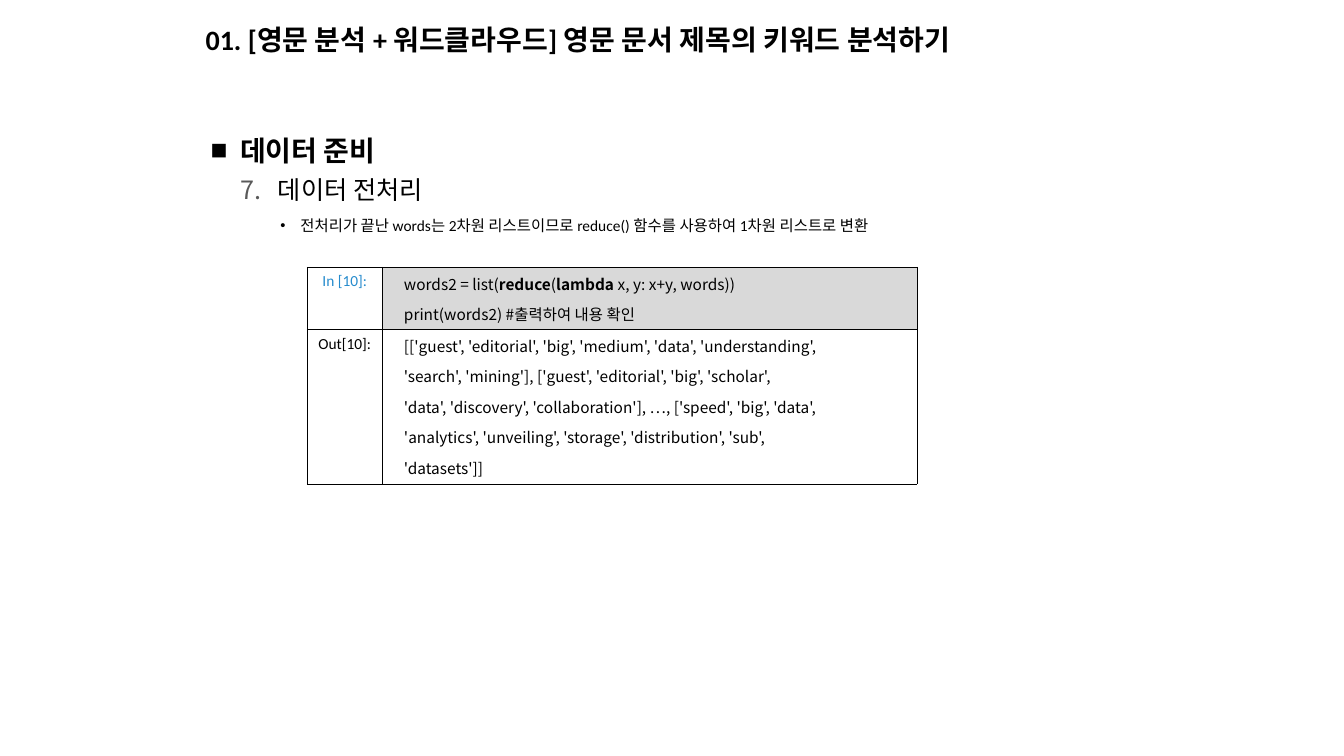
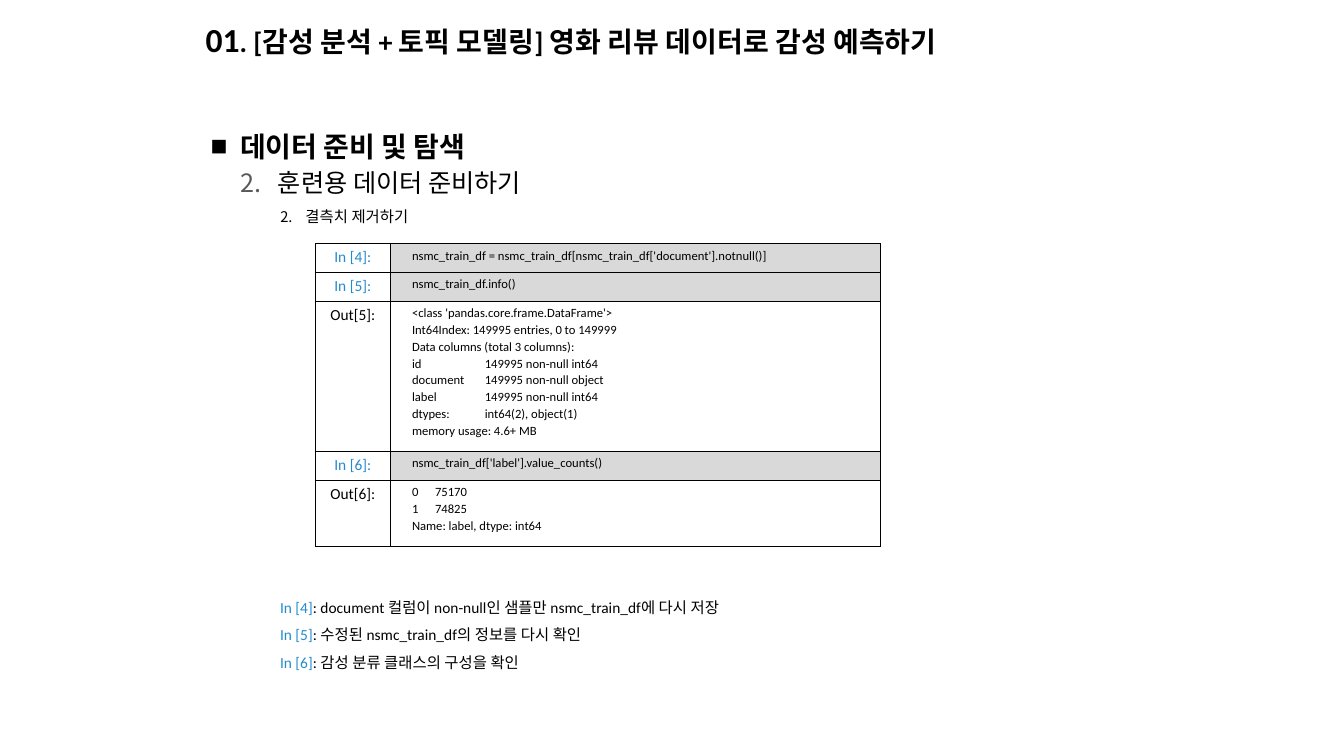
from lxml import etree
from pptx import Presentation
from pptx.dml.color import RGBColor
from pptx.enum.text import MSO_ANCHOR, PP_ALIGN
from pptx.oxml.ns import qn
from pptx.util import Pt

LEFT, CENTER = PP_ALIGN.LEFT, PP_ALIGN.CENTER
TOP, MIDDLE = MSO_ANCHOR.TOP, MSO_ANCHOR.MIDDLE
BLACK, WHITE, GREY, CODE_GREY, BLUE = "000000", "FFFFFF", "595959", "D9D9D9", "258BCD"
LATIN, HEADING, KOREAN = "Calibri", "Arial", "Noto Sans CJK KR"
LABEL_WIDTH = 54
OUTLINE_LEVELS = (0, 1, 3)


def colour(value):
    """Turn a hex string into a colour."""
    return RGBColor.from_string(value)


def child(parent, tag, **attributes):
    """Append a DrawingML element to a parent."""
    element = etree.SubElement(parent, qn("a:" + tag))
    for name, value in attributes.items():
        element.set(name, str(value))
    return element


def style_span(span, size, font=LATIN, ink=BLACK, bold=False):
    """Format one run, with the Korean font for Hangul."""
    span.font.size = Pt(size)
    span.font.bold = bold
    span.font.color.rgb = colour(ink)
    span.font.name = font
    child(span.font._element, "ea", typeface=KOREAN)


def write(para, spans, **style):
    """Fill a paragraph with (text, style changes) spans."""
    for text, changes in spans:
        span = para.add_run()
        span.text = text
        style_span(span, **{**style, **changes})


def space(para, before=0, after=0, line=None):
    """Set the spacing of a paragraph."""
    para.space_before = Pt(before)
    para.space_after = Pt(after)
    if line:
        para.line_spacing = line


def paragraphs(frame, count):
    """Return the given number of paragraphs of an empty frame."""
    return [frame.paragraphs[0]] + [frame.add_paragraph() for _ in range(count - 1)]


def add_bullet(para, indent, hanging, mark, ink=BLACK, percent=100):
    """Give a paragraph a character bullet or, for a number, numbering."""
    props = para._p.get_or_add_pPr()
    props.set("marL", str(Pt(indent)))
    props.set("indent", str(-Pt(hanging)))
    child(child(props, "buClr"), "srgbClr", val=ink)
    child(props, "buSzPct", val=percent * 1000)
    if isinstance(mark, int):
        child(props, "buFont", typeface=LATIN)
        child(props, "buAutoNum", type="arabicPeriod", startAt=mark)
    else:
        child(props, "buFont", typeface=HEADING)
        child(props, "buChar", char=mark)


def add_page(deck, spans, width):
    """Add a title-only slide and set its title."""
    page = deck.slides.add_slide(deck.slide_layouts[5])
    title = page.shapes.title
    title.left, title.top, title.width, title.height = Pt(139.7), Pt(8), Pt(width), Pt(43)
    title.text_frame.vertical_anchor = MIDDLE
    title.text_frame.word_wrap = True
    para = title.text_frame.paragraphs[0]
    para.alignment = LEFT
    space(para, line=0.9)
    write(para, spans, size=20, bold=True)
    return page


def add_box(page, left, top, width, height):
    """Add a wrapping text box without margins and return its frame."""
    frame = page.shapes.add_textbox(Pt(left), Pt(top), Pt(width), Pt(height)).text_frame
    frame.word_wrap = True
    frame.margin_left = frame.margin_right = frame.margin_top = frame.margin_bottom = 0
    return frame


def add_outline(page, heading, step, detail, mark, lines):
    """Add the heading, its numbered step and the detail below it."""
    frame = add_box(page, 150.5, 82.5, 666, 90)
    heading_para, step_para, detail_para = paragraphs(frame, 3)
    for para, level, line in zip(frame.paragraphs, OUTLINE_LEVELS, lines):
        para.level = level
        space(para, line=Pt(line))
    add_bullet(heading_para, 21, 21, "■")
    write(heading_para, [(heading, {})], size=20, font=HEADING, bold=True)
    number, text = step
    add_bullet(step_para, 48, 27, number, GREY)
    write(step_para, [(text, {})], size=18)
    hanging = 18 if isinstance(mark, int) else 14.4
    add_bullet(detail_para, 49.7 + hanging, hanging, mark, percent=96)
    write(detail_para, [(detail, {})], size=11)


def add_notes_list(page, notes):
    """Add the remarks on the input cells."""
    frame = add_box(page, 200, 420.8, 600, 60)
    for para, (label, text) in zip(paragraphs(frame, len(notes)), notes):
        space(para, line=Pt(19.6))
        write(para, [(label, {"ink": BLUE}), (": " + text, {})], size=11)


def format_cell(cell, fill, margin_left):
    """Set the borders, fill and margins of a cell."""
    props = cell._tc.get_or_add_tcPr()
    for side in ("lnL", "lnR", "lnT", "lnB"):
        line = child(props, side, w=Pt(0.25))
        child(child(line, "solidFill"), "srgbClr", val=BLACK)
    cell.fill.solid()
    cell.fill.fore_color.rgb = colour(fill)
    cell.vertical_anchor = TOP
    cell.margin_left, cell.margin_right = Pt(margin_left), Pt(7.2)
    cell.margin_top = cell.margin_bottom = Pt(3.6)


def add_notebook(page, left, top, code_width, rows, size, font, gap):
    """Add a table of (label, height, tab stop, code lines) notebook cells."""
    height = sum(row[1] for row in rows)
    table = page.shapes.add_table(len(rows), 2, Pt(left), Pt(top),
                                  Pt(LABEL_WIDTH + code_width), Pt(height)).table
    table.first_row = table.horz_banding = False
    table.columns[0].width, table.columns[1].width = Pt(LABEL_WIDTH), Pt(code_width)
    for row, (label, row_height, stop, lines) in zip(table.rows, rows):
        row.height = Pt(row_height)
        label_cell, code_cell = row.cells
        is_input = label.startswith("In")
        format_cell(label_cell, WHITE, 7.2)
        para = label_cell.text_frame.paragraphs[0]
        para.alignment = CENTER
        space(para, 5, 3)
        write(para, [(label, {})], size=11, ink=BLUE if is_input else BLACK)
        format_cell(code_cell, CODE_GREY if is_input else WHITE, 15.3)
        for para, line in zip(paragraphs(code_cell.text_frame, len(lines)), lines):
            space(para, *gap)
            if stop:
                stops = child(para._p.get_or_add_pPr(), "tabLst")
                child(stops, "tab", pos=Pt(stop), algn="l")
            spans = [(text, {"bold": index % 2 == 1})
                     for index, text in enumerate(line.split("**"))]
            write(para, spans, size=size, font=font)


def add_keyword_page(deck):
    """Build the slide on flattening the word lists."""
    page = add_page(deck, [("01. [영문 분석 + 워드클라우드] 영문 문서 제목의 키워드 분석하기", {})], 623.5)
    add_outline(page, "데이터 준비", (7, "데이터 전처리"),
                "전처리가 끝난 words는 2차원 리스트이므로 reduce() 함수를 사용하여 1차원 리스트로 변환",
                "•", (36.9, 27, 21.5))
    rows = [
        ("In [10]:", 44.5, None, [
            "words2 = list(**reduce**(**lambda** x, y: x+y, words))",
            "print(words2) #출력하여 내용 확인"]),
        ("Out[10]:", 110.5, None, [
            "[['guest', 'editorial', 'big', 'medium', 'data', 'understanding',",
            "'search', 'mining'], ['guest', 'editorial', 'big', 'scholar',",
            "'data', 'discovery', 'collaboration'], …, ['speed', 'big', 'data',",
            "'analytics', 'unveiling', 'storage', 'distribution', 'sub',",
            "'datasets']]"]),
    ]
    add_notebook(page, 219.3, 190.8, 381.5, rows, 11, KOREAN, (2.8, 3))


def add_sentiment_page(deck):
    """Build the slide on removing missing values."""
    page = add_page(deck, [("01", {"size": 24}),
                           (". [감성 분석 + 토픽 모델링] 영화 리뷰 데이터로 감성 예측하기", {})], 684)
    add_outline(page, "데이터 준비 및 탐색", (2, "훈련용 데이터 준비하기"),
                "결측치 제거하기", 2, (34, 24.5, 20.4))
    rows = [
        ("In [4]:", 20.7, None, ["nsmc_train_df = nsmc_train_df[nsmc_train_df['document'].notnull()]"]),
        ("In [5]:", 20.7, None, ["nsmc_train_df.info()"]),
        ("Out[5]:", 107, 52, [
            "<class 'pandas.core.frame.DataFrame'>",
            "Int64Index: 149995 entries, 0 to 149999",
            "Data columns (total 3 columns):",
            "id\t149995 non-null int64",
            "document\t149995 non-null object",
            "label\t149995 non-null int64",
            "dtypes:\tint64(2), object(1)",
            "memory usage: 4.6+ MB"]),
        ("In [6]:", 20.7, None, ["nsmc_train_df['label'].value_counts()"]),
        ("Out[6]:", 47.5, 16.5, ["0\t75170", "1\t74825", "Name: label, dtype: int64"]),
    ]
    add_notebook(page, 225, 173.6, 350, rows, 9, LATIN, (0.5, 0.5))
    add_notes_list(page, [
        ("In [4]", "document 컬럼이 non-null인 샘플만 nsmc_train_df에 다시 저장"),
        ("In [5]", "수정된 nsmc_train_df의 정보를 다시 확인"),
        ("In [6]", "감성 분류 클래스의 구성을 확인")])


def main():
    """Build and save the deck."""
    deck = Presentation()
    deck.slide_width, deck.slide_height = Pt(960), Pt(540)
    add_keyword_page(deck)
    add_sentiment_page(deck)
    deck.save("out.pptx")


main()
